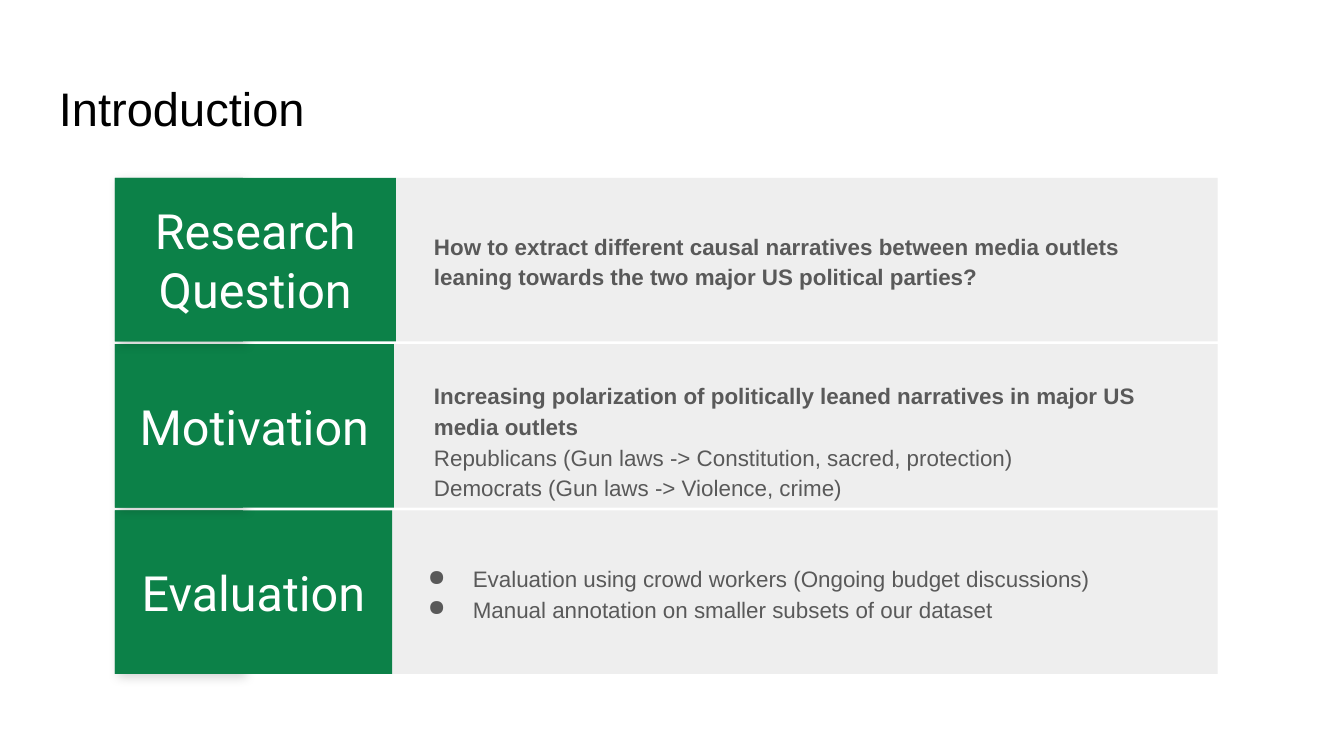
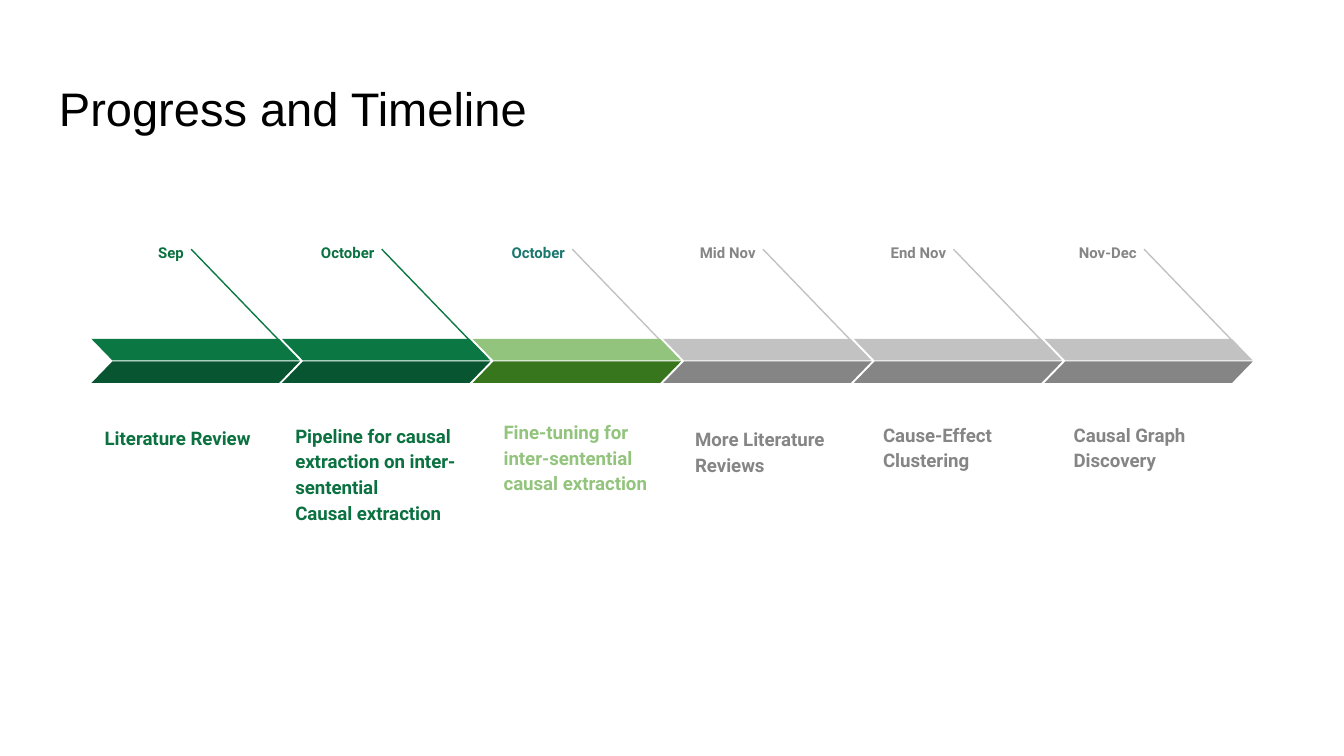
from lxml.etree import SubElement
from pptx import Presentation
from pptx.dml.color import RGBColor
from pptx.enum.shapes import MSO_CONNECTOR, MSO_SHAPE
from pptx.enum.text import MSO_ANCHOR, PP_ALIGN
from pptx.oxml.ns import qn
from pptx.util import Pt

GREEN, PANEL, GREY, SILVER, INK = "0B7743", "EEEEEE", "858585", "C2C2C2", "0B7140"
LIGHT = "93C47D"
TITLE = {"size": Pt(25.2), "name": "Arial", "color": "000000"}
HEADING = {"size": Pt(26), "name": "Roboto", "color": "FFFFFF"}
BODY = {"size": Pt(12), "name": "Arial", "color": "595959"}
TASK = {"size": Pt(10), "name": "Roboto", "bold": True}
MONTH = {**TASK, "size": Pt(8)}
LOOSE = {"line_spacing": 1.15}
CENTER = {"alignment": PP_ALIGN.CENTER}
RIGHT = {**LOOSE, "alignment": PP_ALIGN.RIGHT}


def rgb(value):
    """Turn a hex string into a colour."""
    return RGBColor.from_string(value)


def sub(parent, tag, **attrs):
    """Append a drawing element with the given attributes."""
    return SubElement(parent, qn(tag), {k: str(v) for k, v in attrs.items()})


class Deck:
    """Hold the presentation, its shared style and the current slide."""

    def __init__(self):
        """Start an empty 16:9 presentation."""
        self.prs = Presentation()
        self.prs.slide_width, self.prs.slide_height = Pt(720), Pt(405)

    def slide(self, title):
        """Add a blank slide with a title."""
        self.s = self.prs.slides.add_slide(self.prs.slide_layouts[6])
        self.text((24.5, 35.3, 671, 45.4), [title], TITLE, anchor=MSO_ANCHOR.TOP)

    def fill_text(self, sp, lines, font, para=None, anchor=MSO_ANCHOR.MIDDLE, top=7.2, bullet=False):
        """Write lines into a shape; a line may be a (text, font changes) pair."""
        tf = sp.text_frame
        frame = {"word_wrap": True, "vertical_anchor": anchor, "margin_left": Pt(7.2),
                 "margin_right": Pt(7.2), "margin_top": Pt(top), "margin_bottom": Pt(7.2)}
        for k, v in frame.items():
            setattr(tf, k, v)
        for i, line in enumerate(lines):
            content, changes = (line, {}) if isinstance(line, str) else line
            p = tf.add_paragraph() if i else tf.paragraphs[0]
            for k, v in (para or {}).items():
                setattr(p, k, v)
            if bullet:
                self.bullet(p, font["color"])
            r = p.add_run()
            r.text = content
            for k, v in {**font, **changes}.items():
                if k == "color":
                    r.font.color.rgb = rgb(v)
                else:
                    setattr(r.font, k, v)

    def bullet(self, p, color):
        """Give a paragraph a round bullet and a hanging indent."""
        pPr = p._p.get_or_add_pPr()
        pPr.set("marL", str(Pt(36)))
        pPr.set("indent", str(Pt(-24)))
        sub(sub(pPr, "a:buClr"), "a:srgbClr", val=color)
        sub(pPr, "a:buChar", char="●")

    def text(self, box, lines, font, para=None, **options):
        """Add a text box."""
        self.fill_text(self.s.shapes.add_textbox(*map(Pt, box)), lines, font, para, **options)

    def shape(self, box, color, kind=MSO_SHAPE.RECTANGLE):
        """Add a filled shape without outline or shadow."""
        sp = self.s.shapes.add_shape(kind, *map(Pt, box))
        sp.shadow.inherit = False
        sp.fill.solid()
        sp.fill.fore_color.rgb = rgb(color)
        sp.line.fill.background()
        return sp

    def shaded(self, box, color):
        """Add a rectangle with a soft drop shadow."""
        effects = self.shape(box, color).element.spPr.find(qn("a:effectLst"))
        shadow = sub(effects, "a:outerShdw", blurRad=Pt(5.6), dist=Pt(2.2),
                     dir=45 * 60000, algn="bl", rotWithShape=0)
        sub(sub(shadow, "a:srgbClr", val="000000"), "a:alpha", val=17000)

    def slant(self, box, color, flip=False):
        """Add one half of a timeline arrow."""
        sp = self.shape(box, color, MSO_SHAPE.PARALLELOGRAM)
        sp.adjustments[0] = 0.97
        if flip:
            sp.element.spPr.xfrm.set("flipH", "1")

    def line(self, ends, color):
        """Add a thin straight line."""
        cn = self.s.shapes.add_connector(MSO_CONNECTOR.STRAIGHT, *map(Pt, ends))
        cn.line.color.rgb = rgb(color)
        cn.line.width = Pt(0.75)
        sub(cn.element.spPr, "a:effectLst")


def introduction(d):
    """Build the three labelled rows."""
    bold = {"bold": True}
    rows = [
        ("Research Question", 150.5, 225.4, 402.5, {}, [
            ("How to extract different causal narratives between media outlets leaning "
             "towards the two major US political parties?", bold)]),
        ("Motivation", 149.5, 225.4, 412.6, {"top": 22}, [
            ("Increasing polarization of politically leaned narratives in major US media outlets", bold),
            "Republicans (Gun laws -> Constitution, sacred, protection)",
            "Democrats (Gun laws -> Violence, crime)"]),
        ("Evaluation", 148.5, 210.2, 423.4, {"bullet": True}, [
            "Evaluation using crowd workers (Ongoing budget discussions)",
            "Manual annotation on smaller subsets of our dataset"]),
    ]
    left, right, height = 61.6, 652.4, 87.6
    d.slide("Introduction")
    for i, (heading, width, x, w, options, lines) in reversed(list(enumerate(rows))):
        y = 95.3 + i * 89.1
        d.shape((left + width, y, right - left - width, height), PANEL)
        d.shaded((left, y, 68.6, height), GREEN)
        d.fill_text(d.shape((left, y, width, height), "0C8148"), [heading], HEADING, CENTER)
        d.text((x, y, w, height), lines, BODY, LOOSE, **options)


def timeline(d):
    """Build the six timeline steps."""
    done, todo = (GREEN, GREEN, "085631"), (SILVER, SILVER, GREY)
    steps = [
        ("Sep", INK, done, ["Literature Review"], INK, (0, 212.4, 100)),
        ("October", INK, done, ["Pipeline for causal extraction on inter-sentential",
                                "Causal extraction"], INK, (0, 252.7, 111.6)),
        ("October", "1B786E", (SILVER, LIGHT, "38761D"),
         ["Fine-tuning for inter-sentential causal extraction"], LIGHT, (9.5, 236.9, 92.2)),
        ("Mid Nov", GREY, todo, ["More Literature Reviews"], GREY, (10, 226.8, 92.2)),
        ("End Nov", GREY, todo, ["Cause-Effect Clustering"], GREY, (8.6, 224.6, 92.2)),
        ("Nov-Dec", GREY, todo, ["Causal Graph Discovery"], GREY, (8.6, 224.6, 92.2)),
    ]
    d.slide("Progress and Timeline")
    for i, (month, month_color, (stem, upper, lower), task, color, (dx, y, w)) in enumerate(steps):
        x = 49 + i * 102.1
        d.line((x + 53.4, 133.5, x + 110, 192.2), stem)
        d.slant((x, 181.6, 111.6, 11.5), upper, flip=True)
        d.slant((x, 193.7, 111.6, 11.5), lower)
        d.text((x + dx, y, w, 35.3), task, {**TASK, "color": color}, LOOSE, anchor=MSO_ANCHOR.BOTTOM)
        d.text((x + 7.6, 123.8, 49, 18.7), [month], {**MONTH, "color": month_color}, RIGHT,
               anchor=MSO_ANCHOR.TOP)


def main():
    """Build and save the slides."""
    d = Deck()
    introduction(d)
    timeline(d)
    d.prs.save("out.pptx")


if __name__ == "__main__":
    main()
